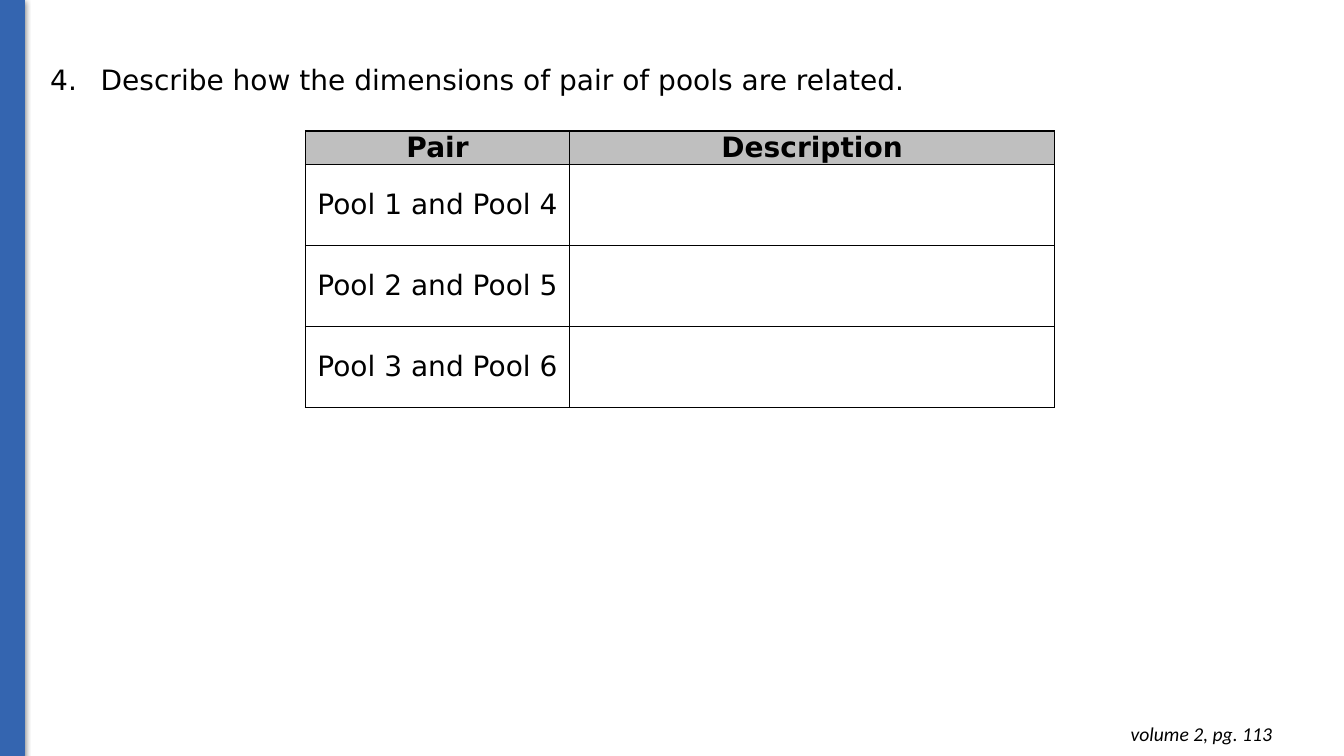
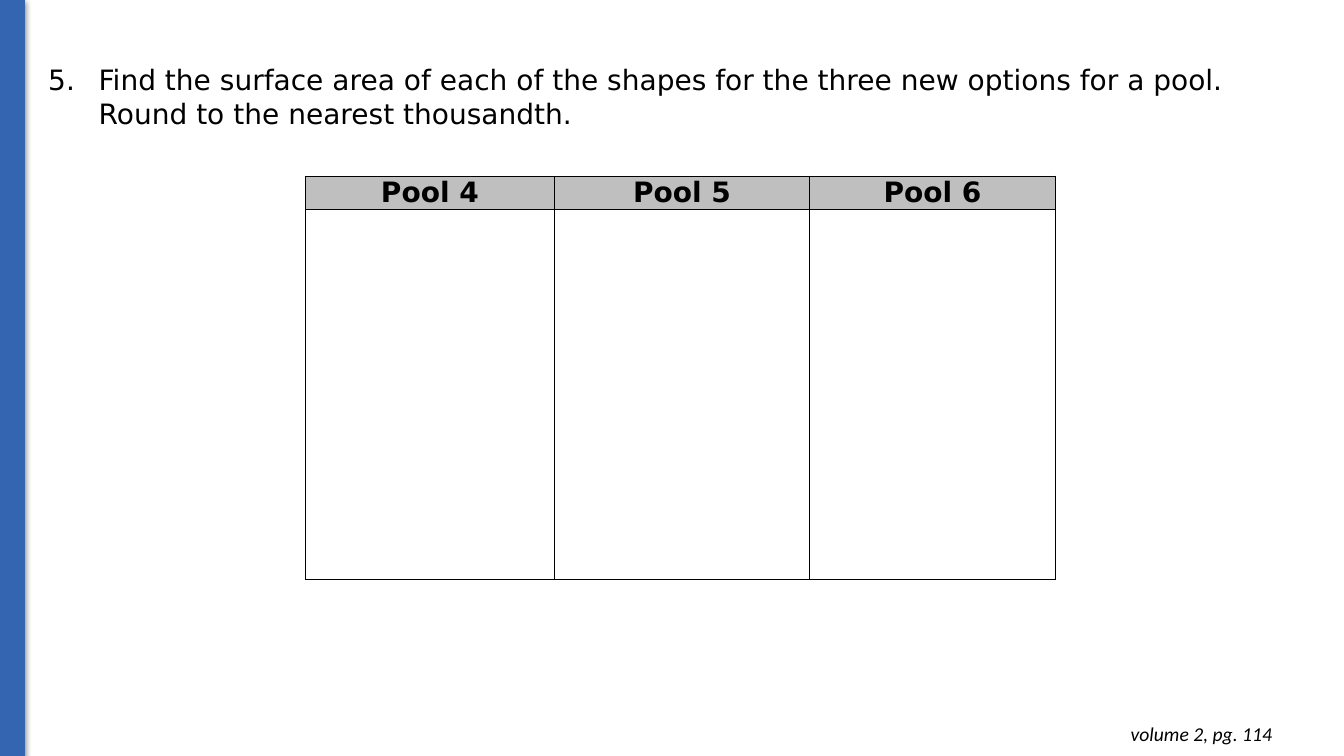
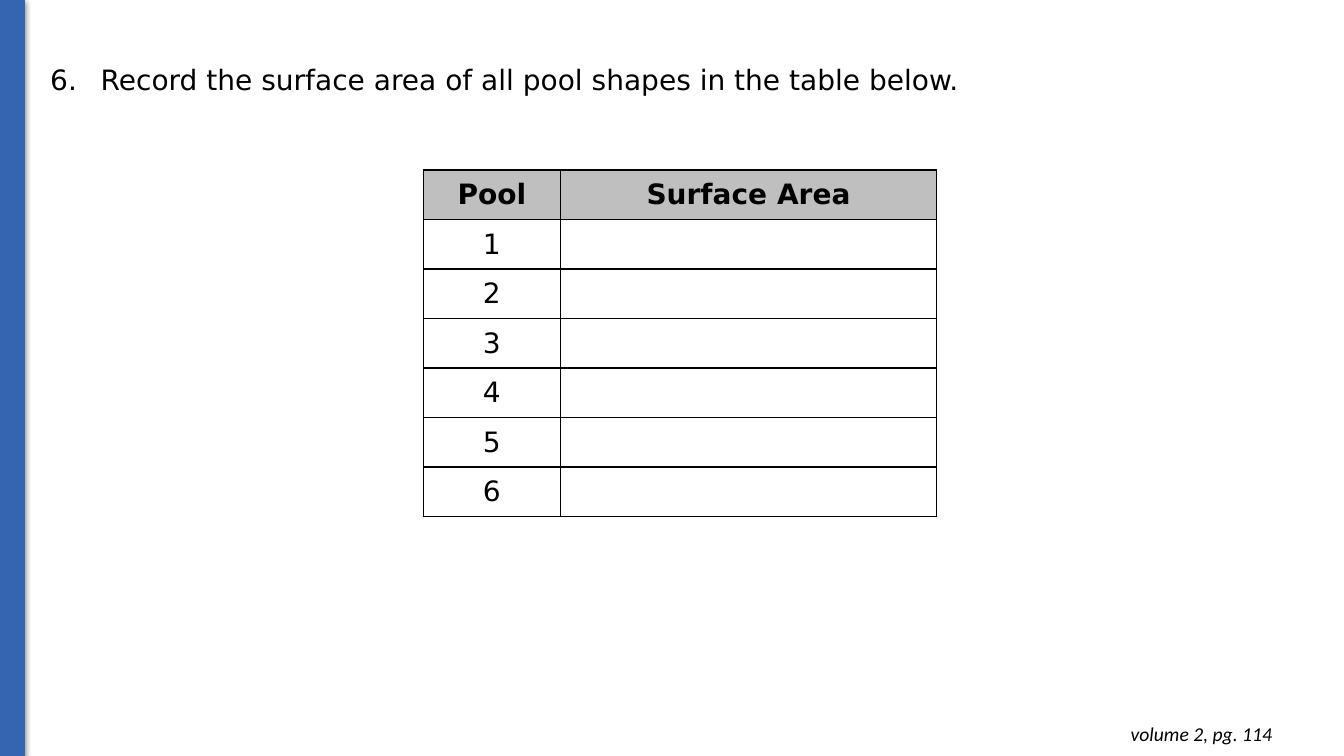
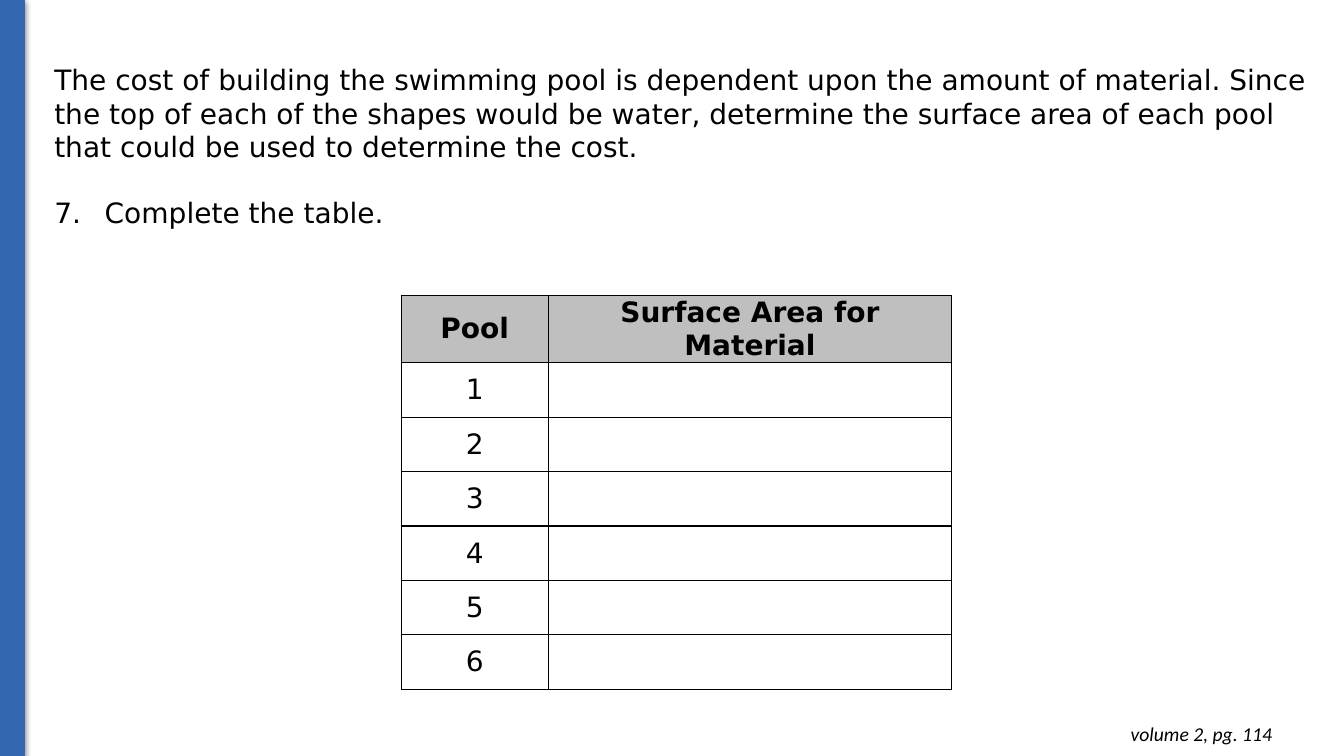
from lxml import etree
from pptx import Presentation
from pptx import util as u
from pptx.dml.color import RGBColor
from pptx.enum import shapes, text
from pptx.oxml import parse_xml
from pptx.oxml.ns import nsdecls, qn

BLUE = RGBColor(0x34, 0x65, 0xB0)
GREY = RGBColor(0xBF, 0xBF, 0xBF)
BLACK = RGBColor(0, 0, 0)
POOLS = [[str(number), ""] for number in range(1, 7)]


class Worksheet:
    body_font = "DejaVu Sans"
    footer_font = "Calibri"
    body_size = 20
    line_height = 23.3

    def __init__(self):
        self.deck = Presentation()
        self.deck.slide_width = u.Inches(13.33)
        self.deck.slide_height = u.Inches(7.5)
        self.slide = None

    def across(self, percent):
        return round(self.deck.slide_width * percent / 100)

    def down(self, percent):
        return round(self.deck.slide_height * percent / 100)

    def place(self, left, top, width, height):
        return self.across(left), self.down(top), self.across(width), self.down(height)

    def page(self, number):
        self.slide = self.deck.slides.add_slide(self.deck.slide_layouts[6])
        self.band()
        self.footer(f"volume 2, pg. {number}")

    def band(self):
        band = self.slide.shapes.add_shape(
            shapes.MSO_SHAPE.RECTANGLE, *self.place(0, 0, 1.8, 100))
        band.fill.solid()
        band.fill.fore_color.rgb = BLUE
        band.line.color.rgb = BLUE
        band.line.width = u.Pt(0.75)
        band.shadow.inherit = False
        effects = band._element.spPr.find(qn("a:effectLst"))
        effects.append(parse_xml(
            f'<a:outerShdw {nsdecls("a")} blurRad="{u.Pt(4.5)}" dist="{u.Pt(1.5)}" '
            'dir="5400000" algn="ctr" rotWithShape="0"><a:srgbClr val="000000">'
            '<a:alpha val="50000"/></a:srgbClr></a:outerShdw>'))

    def text_box(self, left, top, width, height):
        box = self.slide.shapes.add_textbox(*self.place(left, top, width, height))
        frame = box.text_frame
        frame.word_wrap = True
        frame.auto_size = text.MSO_AUTO_SIZE.SHAPE_TO_FIT_TEXT
        return frame

    def style(self, para, font=body_font, size=body_size, bold=False, italic=False):
        para.font.name = font
        para.font.size = u.Pt(size)
        para.font.bold = bold
        para.font.italic = italic
        para.font.color.rgb = BLACK

    def footer(self, words):
        frame = self.text_box(73.8, 94.13, 21.6, 5.87)
        frame.margin_top = frame.margin_bottom = u.Inches(0.1)
        para = frame.paragraphs[0]
        para.text = words
        para.alignment = text.PP_ALIGN.RIGHT
        self.style(para, self.footer_font, 14, italic=True)

    def number(self, para, start):
        properties = para._p.get_or_add_pPr()
        properties.set("marL", str(u.Inches(0.5)))
        properties.set("indent", str(-u.Inches(0.5)))
        colour = etree.SubElement(properties, qn("a:buClr"))
        etree.SubElement(colour, qn("a:srgbClr"), val=str(BLACK))
        etree.SubElement(properties, qn("a:buAutoNum"),
                         type="arabicPeriod", startAt=str(start))

    def question(self, start, words, left=3, width=94.3, height=5.87, intro=None):
        frame = self.text_box(left, 7.6, width, height)
        para = frame.paragraphs[0]
        if intro:
            para.text = intro
            self.style(para)
            para = frame.add_paragraph()
            para.space_before = u.Pt(self.line_height)
        para.text = words
        self.number(para, start)
        self.style(para)

    def table(self, left, top, columns, heights, rows):
        frame = self.slide.shapes.add_table(
            len(rows), len(columns),
            *self.place(left, top, sum(columns), sum(heights)))
        table = frame.table
        table.first_row = table.horz_banding = False
        for column, width in zip(table.columns, columns):
            column.width = self.across(width)
        for index, (row, height, words) in enumerate(zip(table.rows, heights, rows)):
            row.height = self.down(height)
            for cell, label in zip(row.cells, words):
                self.cell(cell, label, header=index == 0)

    def cell(self, cell, label, header):
        cell.margin_left = cell.margin_right = u.Inches(0.07)
        cell.margin_top = cell.margin_bottom = 0
        cell.vertical_anchor = text.MSO_ANCHOR.MIDDLE
        properties = cell._tc.get_or_add_tcPr()
        for side in ("lnL", "lnR", "lnT", "lnB"):
            properties.append(parse_xml(
                f'<a:{side} {nsdecls("a")} w="{u.Pt(1)}"><a:solidFill>'
                f'<a:srgbClr val="{BLACK}"/></a:solidFill></a:{side}>'))
        if header:
            cell.fill.solid()
            cell.fill.fore_color.rgb = GREY
        else:
            cell.fill.background()
        para = cell.text_frame.paragraphs[0]
        if label:
            para.text = label
        para.alignment = text.PP_ALIGN.CENTER
        self.style(para, bold=header)


def main():
    sheet = Worksheet()

    sheet.page(113)
    sheet.question(4, "Describe how the dimensions of pair of pools are related.")
    pairs = [[f"Pool {first} and Pool {first + 3}", ""] for first in range(1, 4)]
    sheet.table(22.73, 17.33, [19.65, 36.1], [4.4] + [10.7] * 3,
                [["Pair", "Description"]] + pairs)

    sheet.page(114)
    sheet.question(5, "Find the surface area of each of the shapes for the three new "
                   "options for a pool. Round to the nearest thousandth.",
                   left=2.85, width=94.9, height=10.27)
    sheet.table(22.73, 23.3, [18.53, 18.98, 18.3], [4.4, 48.93],
                [["Pool 4", "Pool 5", "Pool 6"], [""] * 3])

    sheet.page(114)
    sheet.question(6, "Record the surface area of all pool shapes in the table below.",
                   width=81.8)
    sheet.table(31.5, 22.5, [10.2, 28], [6.55] * 7,
                [["Pool", "Surface Area"]] + POOLS)

    sheet.page(114)
    sheet.question(7, "Complete the table.", left=3.3, width=95.2, height=23.73,
                   intro="The cost of building the swimming pool is dependent upon the "
                   "amount of material. Since the top of each of the shapes would be "
                   "water, determine the surface area of each pool that could be used "
                   "to determine the cost.")
    sheet.table(29.85, 39.05, [10.95, 30], [8.95] + [7.2] * 6,
                [["Pool", "Surface Area for Material"]] + POOLS)

    sheet.deck.save("out.pptx")


if __name__ == "__main__":
    main()
